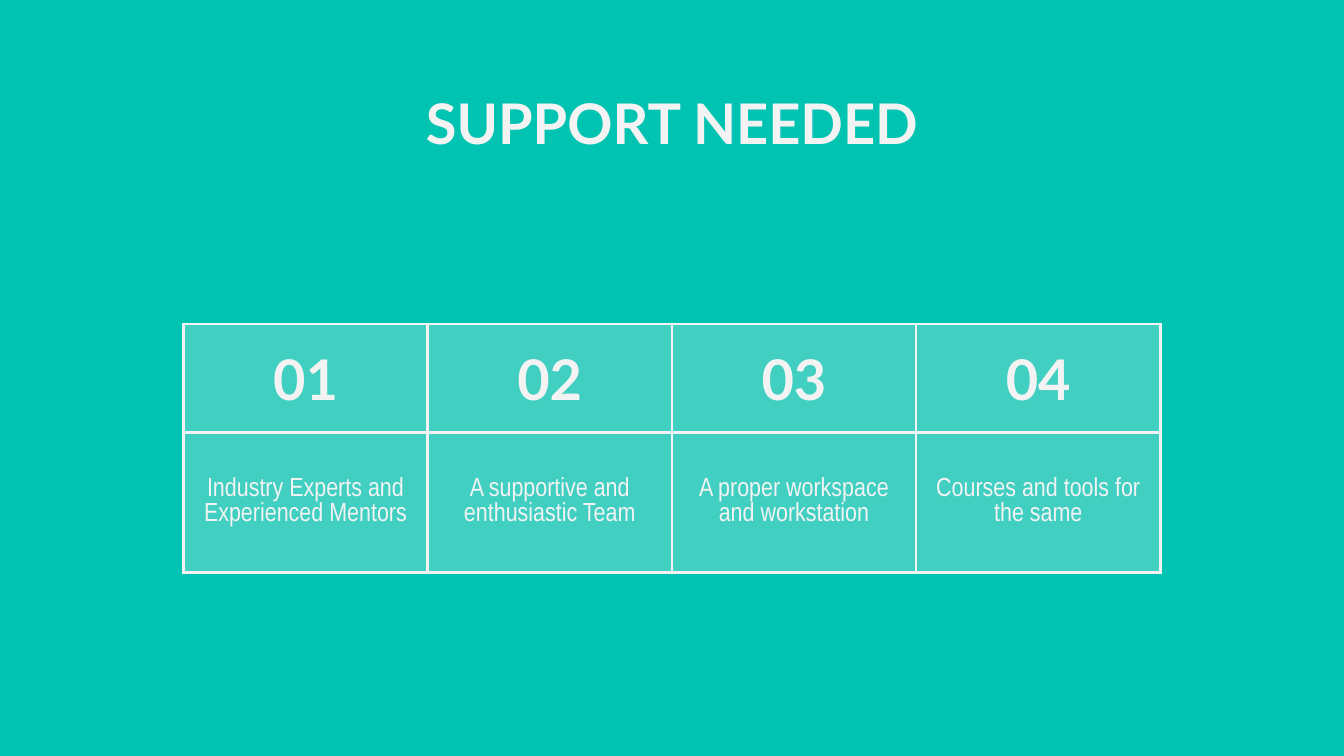
from dataclasses import dataclass

import pptx
import pptx.dml.color
import pptx.enum.text
import pptx.oxml
import pptx.oxml.ns
import pptx.util

TITLE = "SUPPORT NEEDED"
NEEDS = [
    ("01", "Industry Experts and Experienced Mentors"),
    ("02", "A supportive and enthusiastic Team"),
    ("03", "A proper workspace and workstation"),
    ("04", "Courses and tools for the same"),
]


@dataclass(frozen=True)
class Theme:
    background: str = "00C3B1"
    light: str = "F3F3F3"
    cell_opacity: int = 27
    border: float = 1.5
    heading: tuple = ("Lato", 30, True)
    body: tuple = ("Arial Narrow", 14, False)


THEME = Theme()
WIDTH = 10
HEIGHT = WIDTH * 9 / 16
TITLE_TOP, TITLE_WIDTH, TITLE_HEIGHT = 0.56, 8.43, 0.63
TABLE_TOP, TABLE_WIDTH = 2.41, 7.27
ROW_HEIGHTS = (0.81, 1.04)
INSET = pptx.util.Inches(0.1)
ANCHOR = pptx.enum.text.MSO_ANCHOR


def rgb(code):
    return pptx.dml.color.RGBColor.from_string(code)


def centred_box(top, width, height):
    return [pptx.util.Inches(length) for length in ((WIDTH - width) / 2, top, width, height)]


def write(frame, words, style):
    paragraph = frame.paragraphs[0]
    paragraph.alignment = pptx.enum.text.PP_ALIGN.CENTER
    run = paragraph.add_run()
    run.text = words
    run.font.name, size, run.font.bold = style
    run.font.size = pptx.util.Pt(size)
    run.font.color.rgb = rgb(THEME.light)


def set_margins(holder):
    holder.margin_left = holder.margin_right = INSET
    holder.margin_top = holder.margin_bottom = INSET


def paint(cell):
    cell.fill.solid()
    cell.fill.fore_color.rgb = rgb(THEME.light)
    properties = cell._tc.get_or_add_tcPr()
    color = properties.find(".//" + pptx.oxml.ns.qn("a:srgbClr"))
    alpha = pptx.oxml.parse_xml(
        f'<a:alpha {pptx.oxml.ns.nsdecls("a")} val="{THEME.cell_opacity * 1000}"/>')
    color.append(alpha)
    for position, side in enumerate(("lnL", "lnR", "lnT", "lnB")):
        properties.insert(position, pptx.oxml.parse_xml(
            f'<a:{side} {pptx.oxml.ns.nsdecls("a")} w="{pptx.util.Pt(THEME.border)}">'
            f'<a:solidFill><a:srgbClr val="{THEME.light}"/></a:solidFill>'
            f'<a:prstDash val="solid"/></a:{side}>'))


def add_title(slide):
    title = slide.shapes.title
    title.left, title.top, title.width, title.height = centred_box(
        TITLE_TOP, TITLE_WIDTH, TITLE_HEIGHT)
    frame = title.text_frame
    frame.word_wrap = True
    frame.auto_size = pptx.enum.text.MSO_AUTO_SIZE.NONE
    frame.vertical_anchor = ANCHOR.TOP
    set_margins(frame)
    write(frame, TITLE, THEME.heading)


def add_needs(slide):
    box = centred_box(TABLE_TOP, TABLE_WIDTH, sum(ROW_HEIGHTS))
    table = slide.shapes.add_table(len(ROW_HEIGHTS), len(NEEDS), *box).table
    table.first_row = table.horz_banding = False
    for row, height in zip(table.rows, ROW_HEIGHTS):
        row.height = pptx.util.Inches(height)
    for column, need in enumerate(NEEDS):
        table.columns[column].width = pptx.util.Inches(TABLE_WIDTH / len(NEEDS))
        for row, (words, style) in enumerate(zip(need, (THEME.heading, THEME.body))):
            cell = table.cell(row, column)
            cell.vertical_anchor = ANCHOR.MIDDLE
            set_margins(cell)
            paint(cell)
            write(cell.text_frame, words, style)


def main():
    deck = pptx.Presentation()
    deck.slide_width = pptx.util.Inches(WIDTH)
    deck.slide_height = pptx.util.Inches(HEIGHT)
    slide = deck.slides.add_slide(deck.slide_layouts.get_by_name("Title Only"))
    slide.background.fill.solid()
    slide.background.fill.fore_color.rgb = rgb(THEME.background)
    add_title(slide)
    add_needs(slide)
    deck.save("out.pptx")


if __name__ == "__main__":
    main()
